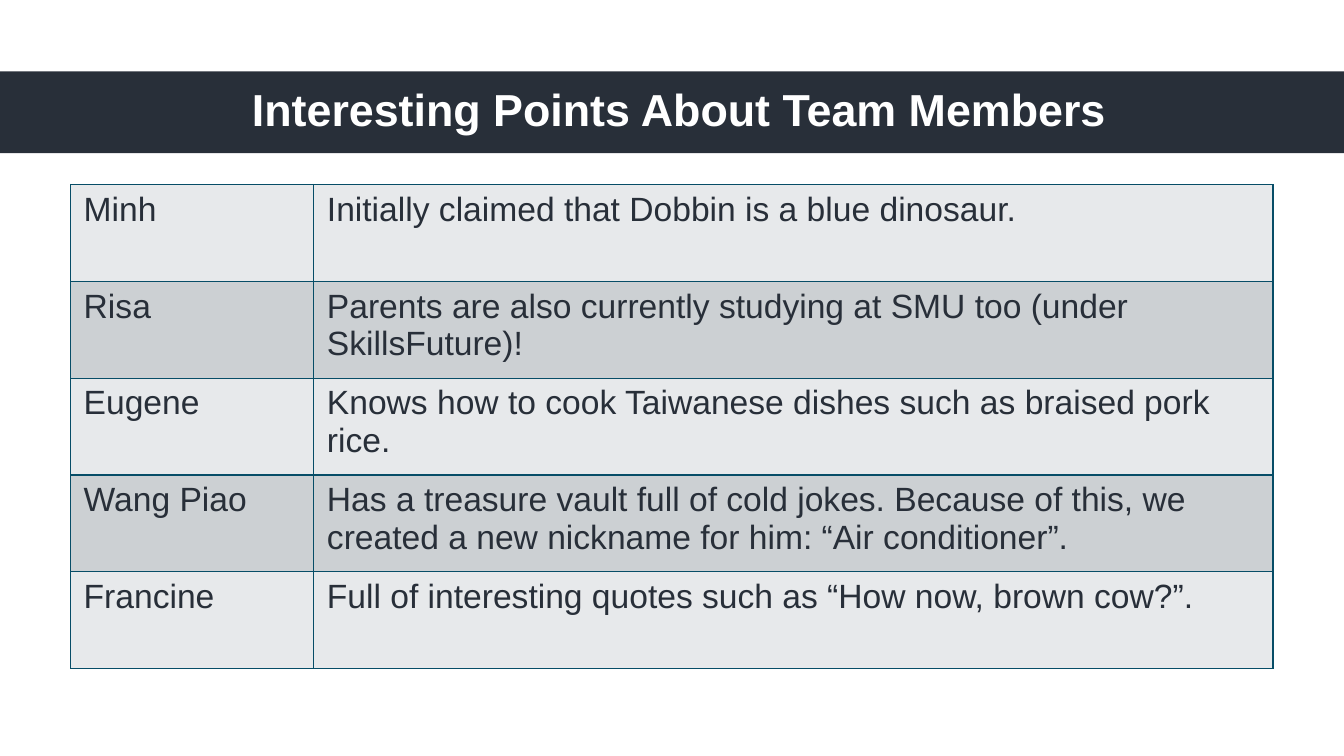
from lxml import etree
from pptx import Presentation
from pptx.dml.color import RGBColor
from pptx.enum.shapes import MSO_SHAPE
from pptx.enum.text import MSO_ANCHOR, PP_ALIGN
from pptx.oxml.ns import qn
from pptx.util import Cm, Pt

RECTANGLE = MSO_SHAPE.RECTANGLE
MIDDLE = MSO_ANCHOR.MIDDLE
CENTER = PP_ALIGN.CENTER

DARK = RGBColor(0x28, 0x2F, 0x39)
WHITE = RGBColor(0xFF, 0xFF, 0xFF)
BORDER = RGBColor(0x07, 0x4D, 0x67)
ROW_FILLS = (RGBColor(0xE7, 0xE9, 0xEB), RGBColor(0xCC, 0xD0, 0xD3))

TITLE_FONT = {"name": "Arial", "size": Pt(32), "bold": True}
CELL_FONT = {"name": "Arial", "size": Pt(24), "bold": False}
TITLE_FRAME = {"vertical_anchor": MIDDLE, "word_wrap": True}
CELL_MARGINS = {
    "margin_left": Cm(0.33),
    "margin_right": Cm(0.33),
    "margin_top": Cm(0.16),
    "margin_bottom": Cm(0.16),
}

NAME_WIDTH = Cm(6.13)
MEMBERS = [
    ("Minh", "Initially claimed that Dobbin is a blue dinosaur."),
    ("Risa", "Parents are also currently studying at SMU too (under SkillsFuture)!"),
    ("Eugene", "Knows how to cook Taiwanese dishes such as braised pork rice."),
    (
        "Wang Piao",
        "Has a treasure vault full of cold jokes. Because of this, we "
        "created a new nickname for him: “Air conditioner”.",
    ),
    ("Francine", "Full of interesting quotes such as “How now, brown cow?”."),
]


def apply_format(target, values):
    for name, value in values.items():
        setattr(target, name, value)


def format_font(font, values, color):
    apply_format(font, values)
    font.color.rgb = color


def add_title_band(slide, text, left, top, width, height):
    band = slide.shapes.add_shape(RECTANGLE, left, top, width, height)
    band.shadow.inherit = False
    band.fill.solid()
    band.fill.fore_color.rgb = DARK
    band.line.fill.background()

    title = slide.shapes.title
    title.element.addprevious(band.element)
    apply_format(title, {
        "left": left + Cm(1.55),
        "top": top - Cm(0.02),
        "width": width - Cm(2.73),
        "height": height,
    })
    title.text_frame.text = text
    apply_format(title.text_frame, TITLE_FRAME)
    paragraph = title.text_frame.paragraphs[0]
    apply_format(paragraph, {"alignment": CENTER, "line_spacing": 0.9})
    format_font(paragraph.runs[0].font, TITLE_FONT, WHITE)


def add_cell_borders(cell):
    properties = cell._tc.get_or_add_tcPr()
    for position, side in enumerate(("a:lnL", "a:lnR", "a:lnT", "a:lnB")):
        line = etree.Element(qn(side), w=str(Pt(1)))
        fill = etree.SubElement(line, qn("a:solidFill"))
        etree.SubElement(fill, qn("a:srgbClr"), val=str(BORDER))
        properties.insert(position, line)


def add_member_table(slide, members, left, top, width, height):
    frame = slide.shapes.add_table(len(members), 2, left, top, width, height)
    table = frame.table
    apply_format(table, {"first_row": False, "horz_banding": False})
    table.columns[0].width = NAME_WIDTH
    table.columns[1].width = width - NAME_WIDTH
    for row_index, member in enumerate(members):
        for column_index, text in enumerate(member):
            cell = table.cell(row_index, column_index)
            cell.text = text
            apply_format(cell, CELL_MARGINS)
            cell.fill.solid()
            cell.fill.fore_color.rgb = ROW_FILLS[row_index % 2]
            add_cell_borders(cell)
            run = cell.text_frame.paragraphs[0].runs[0]
            format_font(run.font, CELL_FONT, DARK)


def main():
    presentation = Presentation()
    presentation.slide_width = Cm(33.87)
    presentation.slide_height = Cm(19.05)
    slide = presentation.slides.add_slide(presentation.slide_layouts[5])
    add_title_band(
        slide, "Interesting Points About Team Members",
        Cm(0), Cm(1.8), presentation.slide_width, Cm(2.06),
    )
    add_member_table(slide, MEMBERS, Cm(1.78), Cm(4.65), Cm(30.3), Cm(12.2))
    presentation.save("out.pptx")


if __name__ == "__main__":
    main()
